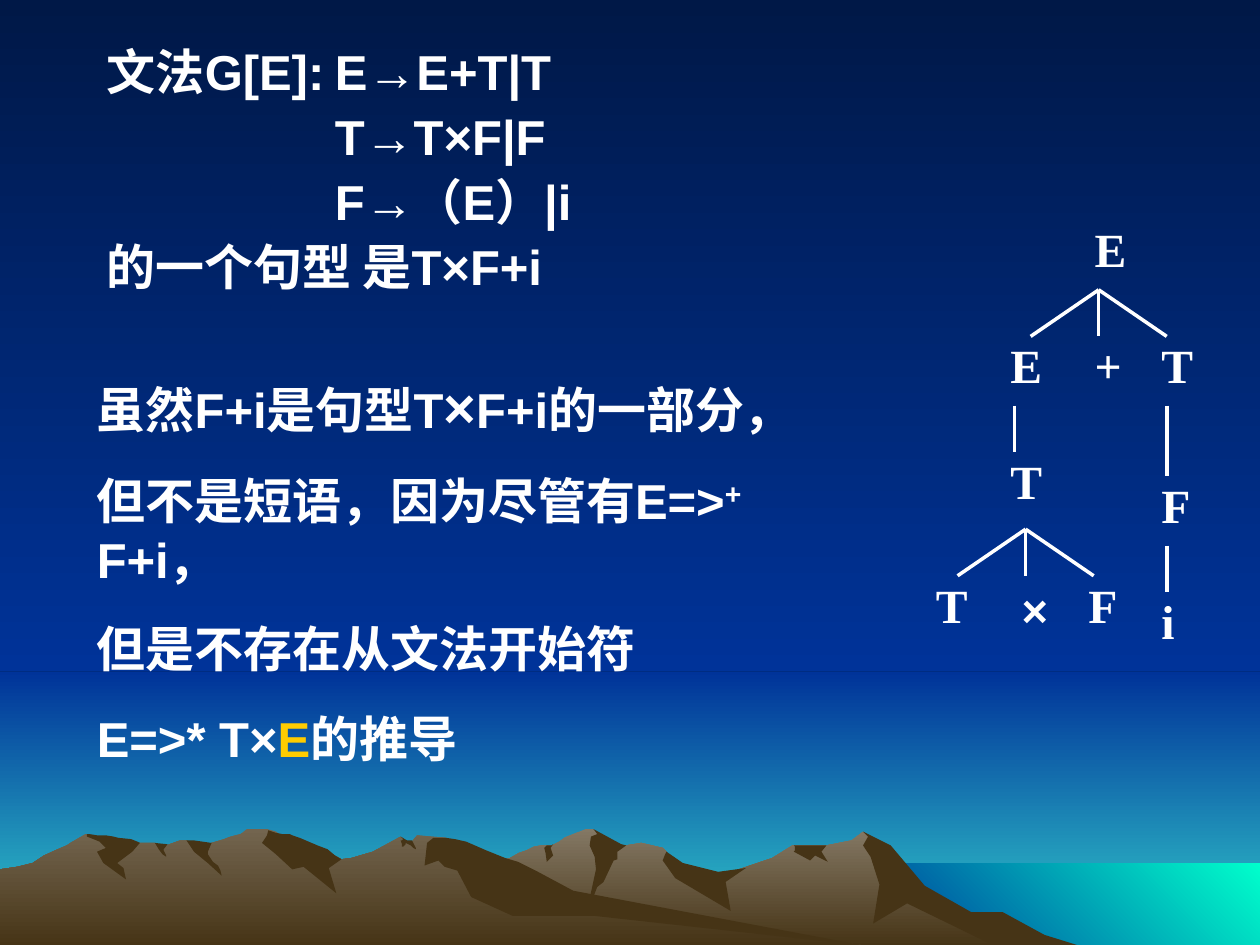
from dataclasses import dataclass

from lxml.etree import SubElement
from pptx import Presentation
from pptx.dml.color import RGBColor
from pptx.enum.shapes import MSO_CONNECTOR, MSO_SHAPE
from pptx.enum.text import MSO_ANCHOR, PP_ALIGN
from pptx.oxml.ns import qn
from pptx.util import Inches, Pt


@dataclass(frozen=True)
class Theme:
    """Colours, fonts and type sizes of the slide."""
    night: str = "001847"
    blue: str = "003399"
    horizon: str = "33CCCC"
    sea: str = "00FFCC"
    shade: str = "463416"
    ridge: str = "847864"
    range: str = "73654F"
    text: str = "FFFFFF"
    accent: str = "FFCC00"
    sans: str = "Arial"
    serif: str = "Times New Roman"
    body: float = 28
    large: float = 32
    node: float = 27.2
    sign: float = 25.9
    line: float = 2


THEME = Theme()

RIDGE = """802,740 778,727 764,723 723,698 702,671 685,660 676,667 656,671 629,671 613,681
566,697 536,690 529,676 526,673 509,669 497,671 486,673 474,661 471,658 465,658 450,664 448,665
444,668 438,671 430,671 424,672 418,675 412,677 405,681 399,683 394,685 355,698 327,709 277,739
258,751 821,751"""
RANGE = """690,751 667,748 432,712 354,665 331,663 327,668 323,668 318,664 296,676 279,681 271,682
260,676 236,681 223,663 219,660 212,658 196,658 191,662 183,664 178,666 168,669 160,671 148,667
143,667 132,671 128,671 123,669 111,669 94,671 68,662 56,669 53,671 46,674 35,679 26,685 14,688
0,690 0,751"""
RIDGE_SHADOWS = [
    "796,724 771,724 734,703 707,671 685,660 689,664 685,671 691,680 698,702 693,733 720,717 "
    "792,752 858,751 829,742",
    "471,658 474,662 469,664 468,671 472,680 473,690 465,727 474,704 479,700 487,683 490,682 "
    "490,676 497,671 493,670",
    "529,676 528,678 526,683 536,697 580,723 576,700 592,689 570,692 542,685",
    "650,671 630,671 631,672 631,675 630,676 643,683 647,679 657,684 652,676 656,671",
    "433,677 432,673 434,671 438,671 439,670 437,673 439,679 434,684",
]
RANGE_SHADOWS = [
    "212,663 208,669 219,678 232,690 241,688 267,709 261,689 271,682 266,679 260,674 252,671 "
    "245,668 238,665 232,663 230,662 224,662 219,661 213,659",
    "370,668 361,666 354,665 344,665 339,669 337,687 348,683 353,688 363,691 374,712 407,727 "
    "472,727 690,751 683,750 455,707 427,692 411,684 401,681 386,675",
    "318,667 319,667 320,666 318,664 323,667 327,667 330,673 330,674 328,673 326,671 322,669 "
    "322,670 320,672 319,672 319,670",
    "154,667 161,668 168,669 165,676 165,678 169,684 173,687 175,691 176,695 165,685 154,676 "
    "148,667",
    "133,670 130,674 130,675 132,679 132,680 129,678 126,674 123,669",
    "109,668 111,669 105,676 93,685 98,689 100,698 82,685 77,676 84,673 79,668 69,664 69,662 "
    "71,662 77,663 84,663 90,664 94,665 104,666",
]


def paint(fill, *colors, angle=270):
    """Fill with one colour, or with a gradient between two."""
    if len(colors) == 1:
        fill.solid()
        fill.fore_color.rgb = RGBColor.from_string(colors[0])
        return
    fill.gradient()
    fill.gradient_angle = angle
    for stop, color in zip(fill.gradient_stops, colors):
        stop.color.rgb = RGBColor.from_string(color)


def finish(shape, *colors, angle=270):
    """Paint a shape that has neither outline nor shadow."""
    shape.shadow.inherit = False
    shape.line.fill.background()
    paint(shape.fill, *colors, angle=angle)


def add_band(slide, box, *colors, angle=270):
    """Add a gradient rectangle."""
    shape = slide.shapes.add_shape(MSO_SHAPE.RECTANGLE, *map(Inches, box))
    finish(shape, *colors, angle=angle)


def add_outline(slide, left, top, outline, *colors):
    """Add a closed polygon given in hundredths of an inch."""
    points = [tuple(map(int, pair.split(","))) for pair in outline.split()]
    builder = slide.shapes.build_freeform(*points[0], scale=Inches(0.01))
    builder.add_line_segments(points[1:], close=True)
    finish(builder.convert_to_shape(Inches(left), Inches(top)), *colors)


def add_run(paragraph, text, *, font=THEME.sans, size=THEME.body, color=THEME.text, raised=False):
    """Add bold text in the given format."""
    run = paragraph.add_run()
    run.text = text
    run.font.name, run.font.size, run.font.bold = font, Pt(size), True
    run.font.color.rgb = RGBColor.from_string(color)
    if raised:
        run.font._element.set("baseline", "30000")


def add_text(slide, box, paragraphs, *, align=None, margin=0, indent=0, spacing=None, before=0):
    """Add a text box; each paragraph is a list of (text, format) runs."""
    frame = slide.shapes.add_textbox(*map(Inches, box)).text_frame
    frame.word_wrap = True
    frame.vertical_anchor = MSO_ANCHOR.TOP
    for index, runs in enumerate(paragraphs):
        paragraph = frame.add_paragraph() if index else frame.paragraphs[0]
        paragraph.alignment, paragraph.line_spacing = align, spacing
        paragraph.space_before = Pt(before)
        properties = paragraph._p.get_or_add_pPr()
        properties.set("marL", str(Inches(margin)))
        properties.set("indent", str(Inches(indent)))
        tabs = SubElement(properties, qn("a:tabLst"))
        for position in range(8):
            SubElement(tabs, qn("a:tab"), pos=str(Inches(position)), algn="l")
        for text, style in runs:
            add_run(paragraph, text, **style)


def add_branch(slide, start, end):
    """Add one line of the syntax tree."""
    connector = slide.shapes.add_connector(MSO_CONNECTOR.STRAIGHT, *map(Inches, (*start, *end)))
    connector.line.color.rgb = RGBColor.from_string(THEME.text)
    connector.line.width = Pt(THEME.line)
    SubElement(connector._element.spPr, qn("a:effectLst"))


def add_landscape(slide, box):
    """Draw sky, sea and mountains."""
    left, top, width, height = box
    skyline = 5.33
    add_band(slide, (left, top + skyline, width, height - skyline), THEME.blue, THEME.horizon)
    add_band(slide, (left, top, width, skyline), THEME.night, THEME.blue)
    add_band(slide, (left + 6.83, top + 6.85, width - 6.83, height - 6.85),
             THEME.blue, THEME.sea, angle=45)
    for outline, color, shadows in ((RIDGE, THEME.ridge, RIDGE_SHADOWS),
                                    (RANGE, THEME.range, RANGE_SHADOWS)):
        add_outline(slide, left, top, outline, color, THEME.shade)
        for shadow in shadows:
            add_outline(slide, left, top, shadow, THEME.shade)


def add_grammar(slide, box):
    """Write the grammar rules and the sentential form."""
    serif = {"font": THEME.serif}
    add_text(slide, box, [
        [("文法", serif), ("G[E]:\tE→E+T|T", {})],
        [("\t\t\t\tT→T×F|F", {})],
        [("\t\t\t\tF→（E", {}), ("）", serif), ("|i", {})],
        [("的一个句型 是", serif), ("T×F+i", {})],
    ], align=PP_ALIGN.JUSTIFY, margin=0.81, indent=-0.31, spacing=0.9, before=7)


def add_explanation(slide, box):
    """Explain why the part is not a phrase."""
    add_text(slide, box, [
        [("虽然F+i是句型T", {}), ("×", {"size": THEME.large}), ("F+i的一部分，", {})],
        [("但不是短语，因为尽管有E=>", {}), ("+ ", {"raised": True}), ("F+i，", {})],
        [("但是不存在从文法开始符", {})],
        [("E=>* T×", {}), ("E", {"color": THEME.accent}), ("的推导", {})],
    ], margin=0.5, before=17.5)


def add_syntax_tree(slide, box):
    """Draw the syntax tree of the sentential form."""
    left, top, _, _ = box
    nodes = [("E", 1.26, 0), ("E", 0.59, 0.92), ("+", 1.26, 0.92), ("T", 1.79, 0.92),
             ("T", 0.59, 1.84), ("T", 0, 2.82), ("×", 0.68, 2.82), ("F", 1.21, 2.82),
             ("F", 1.79, 2.03), ("i", 1.79, 2.95)]
    for symbol, x, y in nodes:
        times = symbol == "×"
        style = {"size": THEME.sign} if times else {"font": THEME.serif, "size": THEME.node}
        add_text(slide, (left + x, top + y, 0.54, 0.55), [[(symbol, style)]],
                 align=PP_ALIGN.JUSTIFY, spacing=1.0 if times else 0.9)
    forks = [(x, y, x + spread, y + 0.37)
             for x, y in ((1.39, 0.55), (0.81, 2.45)) for spread in (-0.54, 0, 0.54)]
    stems = [(0.72, 1.47, 0.72, 1.84), (1.93, 1.47, 1.93, 2.03), (1.93, 2.58, 1.93, 2.95)]
    for x1, y1, x2, y2 in forks + stems:
        add_branch(slide, (left + x1, top + y1), (left + x2, top + y2))


def main():
    """Build and save the slide."""
    presentation = Presentation()
    presentation.slide_width, presentation.slide_height = Inches(10), Inches(7.5)
    slide = presentation.slides.add_slide(presentation.slide_layouts[6])
    paint(slide.background.fill, THEME.night, THEME.blue)
    add_landscape(slide, (0, 0, 10, 7.5))
    add_grammar(slide, (0.25, 0.33, 9.58, 2.08))
    add_syntax_tree(slide, (7.33, 1.75, 2.33, 3.5))
    add_explanation(slide, (0.17, 2.91, 6.83, 3.23))
    presentation.save("out.pptx")


if __name__ == "__main__":
    main()
